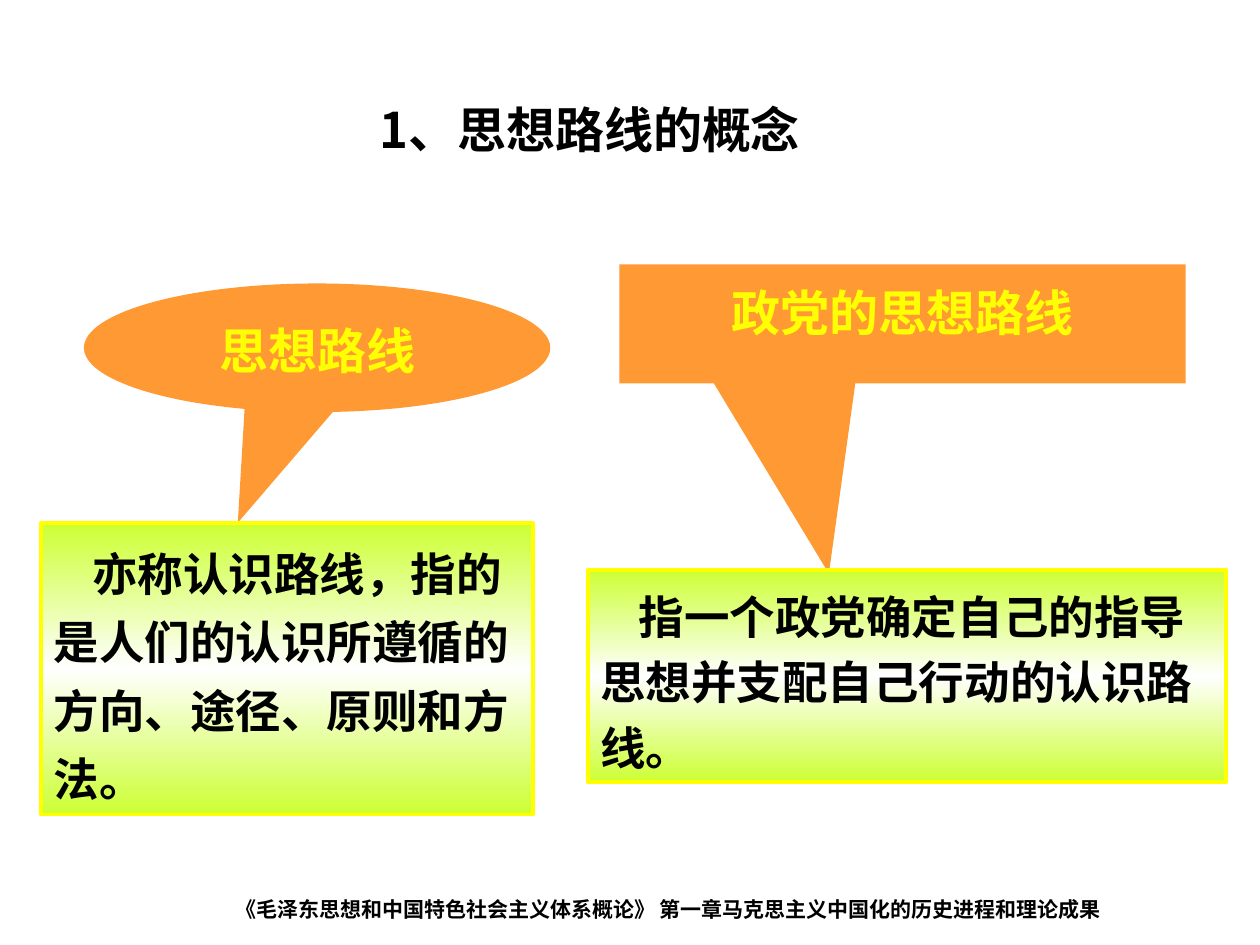
from copy import deepcopy

from pptx import Presentation
from pptx.dml.color import RGBColor
from pptx.enum import shapes, text
from pptx.oxml import ns
from pptx.util import Pt

ORANGE = RGBColor(0xFF, 0x99, 0x33)
YELLOW = RGBColor(0xFF, 0xFF, 0x00)
LIME = RGBColor(0xCC, 0xFF, 0x33)
WHITE = RGBColor(0xFF, 0xFF, 0xFF)
BLACK = RGBColor(0x00, 0x00, 0x00)
SERIF = "Times New Roman"


def add_run(p, words, size, font, color, bold=True):
    """Add one formatted run to a paragraph."""
    r = p.add_run()
    r.text = words
    r.font.size = Pt(size)
    r.font.name = font
    r.font.bold = bold
    r.font.color.rgb = color


def place(sp, box):
    """Move a shape to a box of left, top, width, height."""
    sp.left, sp.top, sp.width, sp.height = (Pt(v) for v in box)


def add_title(s, box, words):
    """Fill the title placeholder."""
    sp = s.shapes.title
    place(sp, box)
    tf = sp.text_frame
    tf.vertical_anchor = text.MSO_ANCHOR.MIDDLE
    p = tf.paragraphs[0]
    p.alignment = text.PP_ALIGN.CENTER
    add_run(p, words, 28, "Noto Sans CJK SC", BLACK)


def add_callout(s, kind, box, tip, words):
    """Add an orange callout whose tip is relative to its centre."""
    sp = s.shapes.add_shape(kind, *(Pt(v) for v in box))
    sp.shadow.inherit = False
    sp.adjustments[0], sp.adjustments[1] = tip
    sp.fill.solid()
    sp.fill.fore_color.rgb = ORANGE
    sp.line.fill.background()
    tf = sp.text_frame
    tf.vertical_anchor = text.MSO_ANCHOR.TOP
    p = tf.paragraphs[0]
    p.alignment = text.PP_ALIGN.CENTER
    p.line_spacing = 1.2
    add_run(p, words, 28, SERIF, YELLOW)


def fill_bands(sp):
    """Fill a shape with a vertical lime, white, lime gradient."""
    sp.fill.gradient()
    sp.fill.gradient_angle = 270
    stops = sp.fill._fill._gradFill.find(ns.qn("a:gsLst"))
    stops.append(deepcopy(stops[-1]))
    for stop, (position, color) in zip(
            sp.fill.gradient_stops, [(0, LIME), (0.5, WHITE), (1, LIME)]):
        stop.position = position
        stop.color.rgb = color


def add_definition(s, box, spacing, words):
    """Add a gradient box with an indented definition."""
    sp = s.shapes.add_shape(shapes.MSO_SHAPE.RECTANGLE, *(Pt(v) for v in box))
    sp.shadow.inherit = False
    fill_bands(sp)
    sp.line.color.rgb = YELLOW
    sp.line.width = Pt(2.25)
    tf = sp.text_frame
    tf.word_wrap = True
    tf.auto_size = text.MSO_AUTO_SIZE.SHAPE_TO_FIT_TEXT
    tf.vertical_anchor = text.MSO_ANCHOR.MIDDLE
    p = tf.paragraphs[0]
    p.alignment = text.PP_ALIGN.LEFT
    p.line_spacing = spacing
    p._p.get_or_add_pPr().set("indent", str(Pt(22)))
    add_run(p, words, 26, SERIF, BLACK)


def add_footer(s, box, words):
    """Add the course and chapter line."""
    sp = s.shapes.add_textbox(*(Pt(v) for v in box))
    tf = sp.text_frame
    tf.word_wrap = True
    add_run(tf.paragraphs[0], words, 12, "Arial", BLACK)


def build_slide(prs):
    """Build the slide that explains the two concepts."""
    s = prs.slides.add_slide(prs.slide_layouts[5])
    add_footer(s, (127.5, 508.5, 521, 31.5),
               "《毛泽东思想和中国特色社会主义体系概论》 第一章马克思主义中国化的历史进程和理论成果")
    concepts = [
        (shapes.MSO_SHAPE.OVAL_CALLOUT, (48, 162, 266.5, 73.5),
         (-0.17, 1.36), "思想路线",
         (23.5, 299, 281, 166.5), 1.25,
         "亦称认识路线，指的是人们的认识所遵循的方向、途径、原则和方法。"),
        (shapes.MSO_SHAPE.RECTANGULAR_CALLOUT, (354, 151, 323.5, 68),
         (-0.13, 2.1), "政党的思想路线",
         (336, 325.5, 364.5, 121.5), 1.2,
         "指一个政党确定自己的指导思想并支配自己行动的认识路线。"),
    ]
    for kind, callout, tip, name, box, spacing, meaning in concepts:
        add_callout(s, kind, callout, tip, name)
        add_definition(s, box, spacing, meaning)
    add_title(s, (37, 31.5, 600, 84), "1、思想路线的概念")


prs = Presentation()
prs.slide_width, prs.slide_height = Pt(720), Pt(540)
build_slide(prs)
prs.save("out.pptx")
